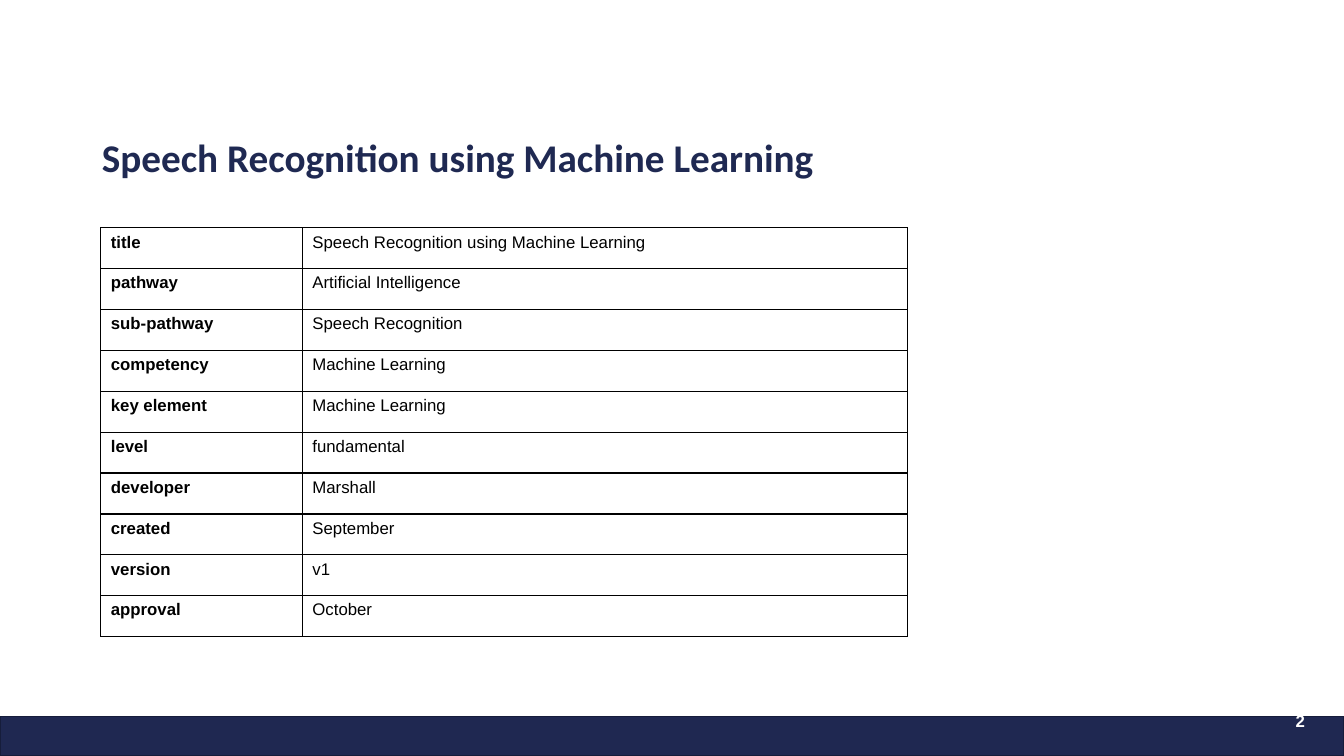
from lxml.etree import SubElement
from pptx import Presentation
from pptx.dml.color import RGBColor
from pptx.enum.shapes import MSO_SHAPE as Shape
from pptx.enum.text import MSO_ANCHOR as Anchor, PP_ALIGN as Align
from pptx.oxml.ns import qn
from pptx.util import Inches, Pt

NAVY, TITLE_NAVY, BAR_EDGE = "1F2851", "1F2952", "161D3B"
BLACK, WHITE = "000000", "FFFFFF"
TITLE = "Speech Recognition using Machine Learning"
DETAILS = [
    ("title", TITLE),
    ("pathway", "Artificial Intelligence"),
    ("sub-pathway", "Speech Recognition"),
    ("competency", "Machine Learning"),
    ("key element", "Machine Learning"),
    ("level", "fundamental"),
    ("developer", "Marshall"),
    ("created", "September"),
    ("version", "v1"),
    ("approval", "October"),
]


def color(value):
    return RGBColor.from_string(value)


class PageBuilder:
    """Places styled elements; lengths are percentages of the slide's size."""

    body_font, title_font, body_size = "Arial", "Calibri", 12

    def __init__(self, deck):
        self.width, self.height = deck.slide_width, deck.slide_height
        self.page = deck.slides.add_slide(deck.slide_layouts[5])

    def across(self, share):
        return round(self.width * share / 100)

    def down(self, share):
        return round(self.height * share / 100)

    def area(self, left, top, width, height):
        return self.across(left), self.down(top), self.across(width), self.down(height)

    def style(self, para, ink, bold=True, size=body_size, name=body_font):
        font = para.font
        font.name, font.size, font.bold = name, Pt(size), bold
        font.color.rgb = color(ink)

    def title(self, text, *place):
        box = self.page.shapes.title
        box.left, box.top, box.width, box.height = self.area(*place)
        frame = box.text_frame
        frame.text, frame.vertical_anchor = text, Anchor.BOTTOM
        para = frame.paragraphs[0]
        para.alignment, para.line_spacing = Align.LEFT, 0.9
        self.style(para, TITLE_NAVY, size=28, name=self.title_font)

    def bar(self, fill, edge, *place):
        bar = self.page.shapes.add_shape(Shape.RECTANGLE, *self.area(*place))
        bar.shadow.inherit = False
        bar.fill.solid()
        bar.fill.fore_color.rgb = color(fill)
        bar.line.color.rgb, bar.line.width = color(edge), Pt(1)

    def label(self, text, ink, *place, indent):
        box = self.page.shapes.add_textbox(*self.area(*place))
        frame = box.text_frame
        frame.word_wrap, frame.text = True, text
        frame.margin_left += Inches(indent)
        para = frame.paragraphs[0]
        para.line_spacing = 0.9
        self.style(para, ink)

    def table(self, rows, left, top, columns, row_height):
        place = self.area(left, top, sum(columns), row_height * len(rows))
        table = self.page.shapes.add_table(len(rows), len(columns), *place).table
        table.horz_banding = False
        for column, share in zip(table.columns, columns):
            column.width = self.across(share)
        for row, texts in zip(table.rows, rows):
            row.height = self.down(row_height)
            for index, (cell, text) in enumerate(zip(row.cells, texts)):
                cell.text = text
                self.style(cell.text_frame.paragraphs[0], BLACK, bold=index == 0)
                self.border(cell, BLACK)
                cell.fill.solid()
                cell.fill.fore_color.rgb = color(WHITE)

    def border(self, cell, ink):
        properties = cell._tc.get_or_add_tcPr()
        for side in ("a:lnL", "a:lnR", "a:lnT", "a:lnB"):
            line = SubElement(properties, qn(side), w=str(Pt(1)))
            fill = SubElement(line, qn("a:solidFill"))
            SubElement(fill, qn("a:srgbClr"), val=ink)


def main():
    deck = Presentation()
    deck.slide_width, deck.slide_height = Inches(13.33), Inches(7.5)
    builder = PageBuilder(deck)

    # Heading and details
    builder.title(TITLE, 6.83, 14.67, 88, 10)
    builder.table(DETAILS, 7.5, 30.13, columns=(15, 45), row_height=5.41)

    # Footer with page number
    builder.bar(NAVY, BAR_EDGE, 0, 94.8, 100, 5.2)
    builder.label("2", WHITE, 94.38, 93.6, 4.95, 7.6, indent=0.17)

    deck.save("out.pptx")


if __name__ == "__main__":
    main()
